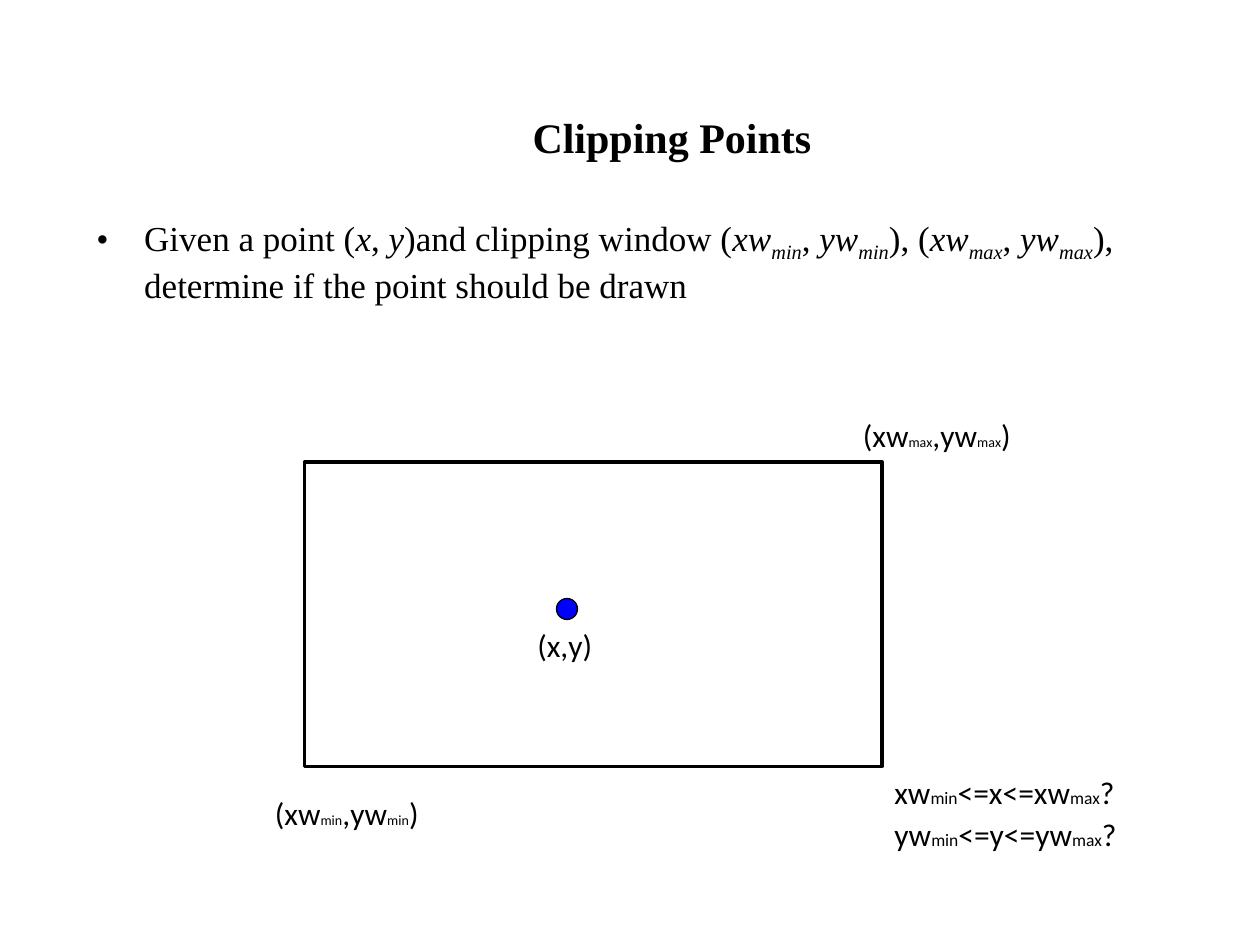
from lxml import etree
from pptx import Presentation
from pptx import util as u
from pptx.dml import color
from pptx.enum import shapes, text
from pptx.oxml import ns

WIDTH, HEIGHT = u.Inches(10), u.Inches(7.5)
COLUMNS, ROWS = 120, 90
BLACK, BLUE = "000000", "0000FF"
SERIF, SANS = "Times New Roman", "Calibri"


def rgb(value):
    return color.RGBColor.from_string(value)


def grid(column, row, columns, rows):
    return (
        int(WIDTH * column / COLUMNS),
        int(HEIGHT * row / ROWS),
        int(WIDTH * columns / COLUMNS),
        int(HEIGHT * rows / ROWS),
    )


def place(shape, box):
    shape.left, shape.top, shape.width, shape.height = box


def add_span(para, words, size, name, bold=False, italic=False):
    span = para.add_run()
    span.text = words
    font = span.font
    font.size, font.name = u.Pt(size), name
    font.bold, font.italic = bold, italic
    font.color.rgb = rgb(BLACK)
    return span


def add_text_box(page, box):
    shape = page.shapes.add_textbox(*box)
    shape.text_frame.word_wrap = True
    return shape.text_frame.paragraphs[0]


def add_title(page, box, words):
    title = page.shapes.title
    place(title, box)
    frame = title.text_frame
    frame.vertical_anchor = text.MSO_ANCHOR.MIDDLE
    para = frame.paragraphs[0]
    para.alignment = text.PP_ALIGN.CENTER
    add_span(para, words, 24, SERIF, bold=True)


def add_bullet(para, indent):
    properties = para._p.get_or_add_pPr()
    properties.set("marL", str(indent))
    properties.set("indent", str(-indent))
    etree.SubElement(properties, ns.qn("a:buFont")).set("typeface", SERIF)
    etree.SubElement(properties, ns.qn("a:buChar")).set("char", "•")


def add_question(page, box, words):
    para = add_text_box(page, box)
    add_bullet(para, u.Inches(0.38))
    for index, part in enumerate(words.split("|")):
        base, _, subscript = part.partition("_")
        italic = index % 2 == 1
        add_span(para, base, 20, SERIF, italic=italic)
        if subscript:
            span = add_span(para, subscript, 20, SERIF, italic=italic)
            span.font._element.set("baseline", "-25000")


def add_label(page, box, words, small):
    para = add_text_box(page, box)
    for index, part in enumerate(words.split("|")):
        add_span(para, part, small if index % 2 else 18, SANS)


def add_outline(page, kind, box, weight, fill=None):
    shape = page.shapes.add_shape(kind, *box)
    shape.shadow.inherit = False
    if fill:
        shape.fill.solid()
        shape.fill.fore_color.rgb = rgb(fill)
    else:
        shape.fill.background()
    shape.line.color.rgb = rgb(BLACK)
    shape.line.width = u.Pt(weight)


def add_diagram(page, column, row, columns, rows):
    right, bottom = column + columns, row + rows

    def label(left, top, words, small=8):
        add_label(page, grid(left, top, 30, 5), words, small)

    label(column - 4, bottom + 2, "(xw|min|,yw|min|)")
    label(right - 3, row - 5, "(xw|max|,yw|max|)")
    add_outline(page, shapes.MSO_SHAPE.OVAL,
                grid(column + 24, row + 13, 2, 2), 0.75, BLUE)
    label(column + 21, row + 15, "(x,y)")
    for index, axis in enumerate("xy"):
        label(right, bottom + 4 * index,
              f"{axis}w|min|<={axis}<={axis}w|max|?", 10)
    add_outline(page, shapes.MSO_SHAPE.RECTANGLE,
                grid(column, row, columns, rows), 2)


def main():
    deck = Presentation()
    deck.slide_width, deck.slide_height = WIDTH, HEIGHT
    page = deck.slides.add_slide(deck.slide_layouts.get_by_name("Title Only"))
    add_title(page, grid(12, 9, 104, 8), "Clipping Points")
    add_question(
        page, grid(8, 20, 108, 59),
        "Given a point (|x|, |y|)and clipping window "
        "(|xw_min|, |yw_min|), (|xw_max|, |yw_max|), "
        "determine if the point should be drawn")
    add_diagram(page, 29, 44, 55, 29)
    deck.save("out.pptx")


if __name__ == "__main__":
    main()
